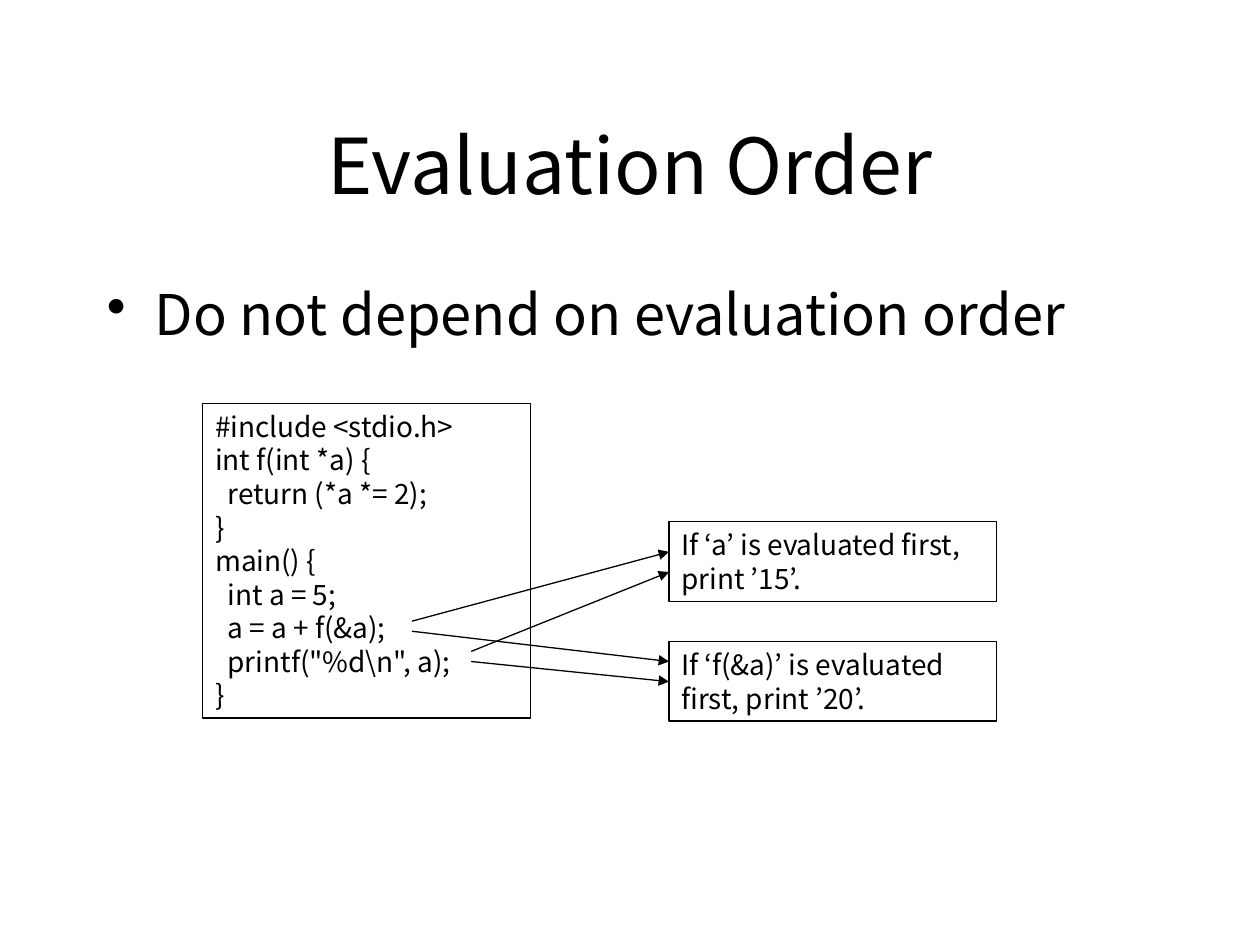
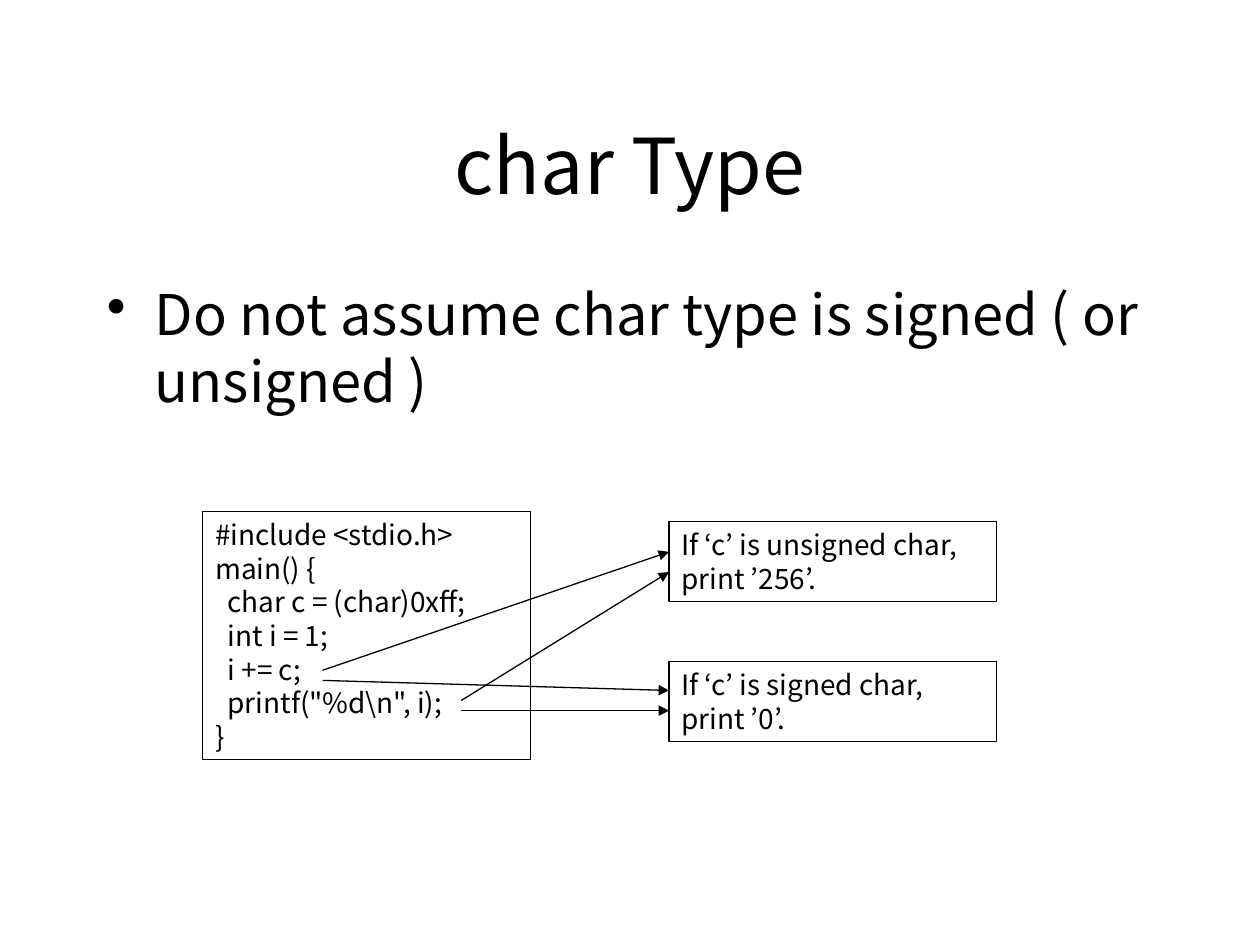
"""Build two slides on portable C: evaluation order and the char type."""
import pptx
import pptx.dml.color
import pptx.enum.shapes
import pptx.enum.text
import pptx.oxml
import pptx.oxml.ns
import pptx.util

INK = pptx.dml.color.RGBColor(0x00, 0x00, 0x00)
FONT = "Noto Sans CJK KR"
LINE_WIDTH = pptx.util.Pt(0.75)
LINE_PITCH = 1.2
SMALL = 16

deck = pptx.Presentation()
deck.slide_width = pptx.util.Inches(10)
deck.slide_height = pptx.util.Inches(7.5)
COLUMN = deck.slide_width / 100
ROW = deck.slide_height / 75

CODE_LEFT, OUTCOME_LEFT, BOX_WIDTH = 16.1, 53.1, 26
ROWS_PER_LINE = SMALL * LINE_PITCH / 7.2
BOX_PADDING = 1
START_STEP, END_STEP = 0.8, 1.6


def grid(left, top, *rest):
    """Turn grid columns and rows into slide lengths."""
    units = (COLUMN, ROW, COLUMN, ROW)
    return [round(n * unit) for n, unit in zip((left, top, *rest), units)]


def write(slide, text, place, *, size=SMALL, bullet=False, boxed=False,
          align=pptx.enum.text.PP_ALIGN.LEFT, anchor=pptx.enum.text.MSO_ANCHOR.TOP):
    """Put text on the slide, plain or in an outlined rectangle."""
    if boxed:
        holder = slide.shapes.add_shape(pptx.enum.shapes.MSO_SHAPE.RECTANGLE, *grid(*place))
        holder.shadow.inherit = False
        holder.fill.background()
        holder.line.color.rgb = INK
        holder.line.width = LINE_WIDTH
    else:
        holder = slide.shapes.add_textbox(*grid(*place))
    frame = holder.text_frame
    frame.word_wrap = True
    frame.vertical_anchor = anchor
    frame.text = text
    for paragraph in frame.paragraphs:
        if bullet:
            properties = paragraph._p.get_or_add_pPr()
            properties.set("marL", str(pptx.util.Inches(0.38)))
            properties.set("indent", str(-pptx.util.Inches(0.38)))
            mark = pptx.oxml.ns.qn("a:buChar")
            properties.append(properties.makeelement(mark, {"char": "•"}))
        paragraph.alignment = align
        paragraph.line_spacing = pptx.util.Pt(size * LINE_PITCH)
        for run in paragraph.runs:
            run.font.size = pptx.util.Pt(size)
            run.font.name = FONT
            run.font.color.rgb = INK
            east_asian = pptx.oxml.ns.qn("a:ea")
            latin = run.font._element.find(pptx.oxml.ns.qn("a:latin"))
            latin.addnext(latin.makeelement(east_asian, {"typeface": FONT}))


topics = [
    {
        "title": "Evaluation Order",
        "advice": "Do not depend on evaluation order",
        "code_top": 32,
        "code": r"""#include <stdio.h>
int f(int *a) {
  return (*a *= 2);
}
main() {
  int a = 5;
  a = a + f(&a);
  printf("%d\n", a);
}""",
        "outcomes": [
            ("If ‘a’ is evaluated first, print ’15’.", 41.4, 43.8),
            ("If ‘f(&a)’ is evaluated first, print ’20’.", 50.9, 52.5),
        ],
        "statement_ends": [(32.7, 49.3), (37.4, 51.7)],
    },
    {
        "title": "char Type",
        "advice": "Do not assume char type is signed ( or unsigned )",
        "code_top": 40.6,
        "code": r"""#include <stdio.h>
main() {
  char c = (char)0xff;
  int i = 1;
  i += c;
  printf("%d\n", i);
}""",
        "outcomes": [
            ("If ‘c’ is unsigned char, print ’256’.", 41.4, 43.8),
            ("If ‘c’ is signed char, print ’0’.", 52.5, 54.8),
        ],
        "statement_ends": [(25.6, 53.2), (36.6, 55.6)],
    },
]

for topic in topics:
    slide = deck.slides.add_slide(deck.slide_layouts[6])
    write(slide, topic["title"], (7.5, 6.7, 85, 12.5), size=44,
          align=pptx.enum.text.PP_ALIGN.CENTER, anchor=pptx.enum.text.MSO_ANCHOR.MIDDLE)
    write(slide, topic["advice"], (7.5, 21.7, 85, 45), size=32, bullet=True)

    code_height = len(topic["code"].splitlines()) * ROWS_PER_LINE + BOX_PADDING
    write(slide, topic["code"], (CODE_LEFT, topic["code_top"], BOX_WIDTH, code_height), boxed=True)
    for outcome, top, _ in topic["outcomes"]:
        outcome_height = 2 * ROWS_PER_LINE + BOX_PADDING
        write(slide, outcome, (OUTCOME_LEFT, top, BOX_WIDTH, outcome_height), boxed=True)

    for outcome_index, (_, _, arrival) in enumerate(topic["outcomes"]):
        for statement_index, (start_x, start_y) in enumerate(topic["statement_ends"]):
            arrow = slide.shapes.add_connector(
                pptx.enum.shapes.MSO_CONNECTOR.STRAIGHT,
                *grid(start_x, start_y + outcome_index * START_STEP,
                      OUTCOME_LEFT, arrival + statement_index * END_STEP))
            arrow.line.color.rgb = INK
            arrow.line.width = LINE_WIDTH
            outline = arrow.line._get_or_add_ln()
            head = pptx.oxml.ns.qn("a:tailEnd")
            outline.append(outline.makeelement(head, {"type": "triangle"}))
            effects = pptx.oxml.ns.qn("a:effectLst")
            arrow._element.spPr.append(outline.makeelement(effects, {}))

deck.save("out.pptx")
